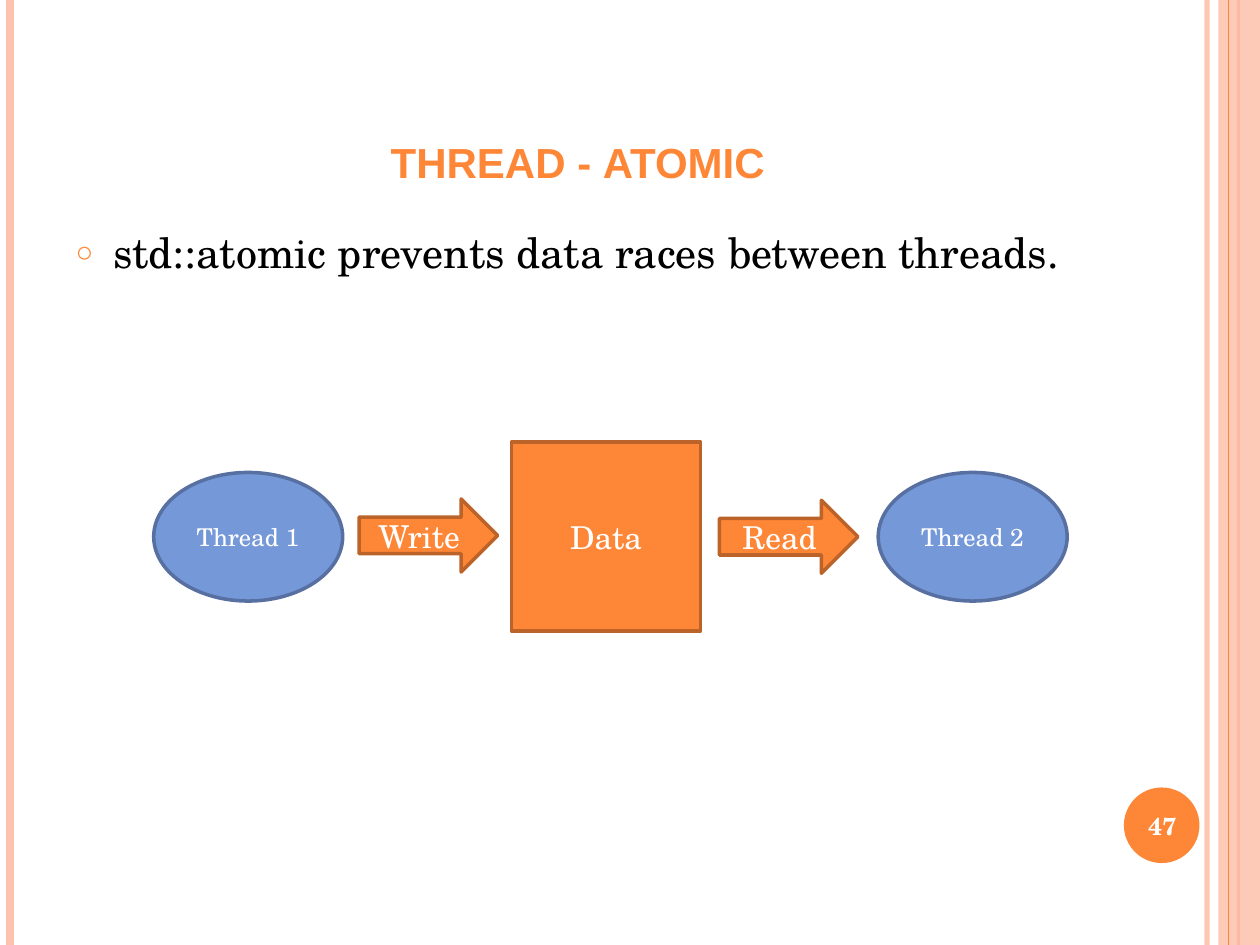
import pptx
import pptx.util
import pptx.dml.color
import pptx.enum.shapes
import pptx.enum.text
import pptx.oxml.ns
import lxml.etree

Inches = pptx.util.Inches
Pt = pptx.util.Pt
RGB = pptx.dml.color.RGBColor
KIND = pptx.enum.shapes.MSO_SHAPE
ALIGN = pptx.enum.text.PP_ALIGN
ANCHOR = pptx.enum.text.MSO_ANCHOR
qn = pptx.oxml.ns.qn

ORANGE = RGB(0xFE, 0x86, 0x37)
RUST = RGB(0xBC, 0x63, 0x29)
PEACH = RGB(0xFE, 0xC3, 0xAE)
BLUSH = RGB(0xFC, 0xB8, 0xA0)
BLUE = RGB(0x75, 0x98, 0xD9)
NAVY = RGB(0x57, 0x70, 0xA1)
WHITE = RGB(0xFF, 0xFF, 0xFF)
BLACK = RGB(0, 0, 0)
SERIF = "TeX Gyre Schola"
SANS = "Arial"


def put(frame, text, size, color, font=SERIF, bold=False):
    """Add one run to the first paragraph of a text frame."""
    run = frame.paragraphs[0].add_run()
    run.text = text
    run.font.size = Pt(size)
    run.font.name = font
    run.font.bold = bold
    run.font.color.rgb = color
    return run


def fade(fill, share):
    """Set the opacity of a solid fill, in percent."""
    tone = fill._xPr.find(qn("a:solidFill"))[0]
    lxml.etree.SubElement(tone, qn("a:alpha")).set("val", str(share * 1000))


def place(item, left, top, width, height):
    item.left, item.top = Inches(left), Inches(top)
    item.width, item.height = Inches(width), Inches(height)


def stripe(slide, x, color, weight):
    """Draw a line down the full height of the slide."""
    line = slide.shapes.add_connector(
        pptx.enum.shapes.MSO_CONNECTOR.STRAIGHT,
        Inches(x), 0, Inches(x), Inches(7.5))
    line.line.color.rgb = color
    line.line.width = Pt(weight)
    lxml.etree.SubElement(line._element.spPr, qn("a:effectLst"))
    return line


def block(slide, kind, box, fill, edge=None):
    shape = slide.shapes.add_shape(kind, *map(Inches, box))
    shape.shadow.inherit = False
    shape.fill.solid()
    shape.fill.fore_color.rgb = fill
    if edge is None:
        shape.line.fill.background()
    else:
        shape.line.color.rgb = edge
        shape.line.width = Pt(2)
    return shape


def label(shape, text, size, bold=False):
    """Centre white text in a shape or text box."""
    frame = shape.text_frame
    frame.word_wrap = True
    frame.vertical_anchor = ANCHOR.MIDDLE
    frame.paragraphs[0].alignment = ALIGN.CENTER
    put(frame, text, size, WHITE, bold=bold)


def frame_page(slide):
    # Side stripes and band
    edge = stripe(slide, 9.58, PEACH, 3)
    fade(edge.line.fill, 93)
    stripe(slide, 0.08, PEACH, 4.5)
    band = block(slide, KIND.RECTANGLE, (9.67, 0, 0.33, 7.5), PEACH)
    fade(band.fill, 87)
    stripe(slide, 9.83, BLUSH, 1.5)
    stripe(slide, 9.75, ORANGE, 0.75)

    # Page number
    block(slide, KIND.OVAL, (8.92, 6.25, 0.6, 0.6), ORANGE)
    number = slide.shapes.add_textbox(*map(Inches, (8.89, 6.27, 0.67, 0.57)))
    label(number, "47", 14, bold=True)


def head(title):
    place(title, 0.5, 0.3, 8.17, 1.25)
    frame = title.text_frame
    frame.auto_size = pptx.enum.text.MSO_AUTO_SIZE.NONE
    frame.vertical_anchor = ANCHOR.BOTTOM
    frame.paragraphs[0].alignment = ALIGN.CENTER
    run = put(frame, "thread - atomic", 30, ORANGE, SANS, True)
    run.font._element.set("cap", "small")


def point(body):
    place(body, 0.5, 1.75, 8.17, 5.33)
    frame = body.text_frame
    frame.auto_size = pptx.enum.text.MSO_AUTO_SIZE.NONE
    para = frame.paragraphs[0]
    para.space_before = Pt(6)
    props = para._p.get_or_add_pPr()
    props.set("marL", str(Inches(0.3)))
    props.set("indent", str(-Inches(0.3)))
    tint = lxml.etree.SubElement(props, qn("a:buClr"))
    lxml.etree.SubElement(tint, qn("a:srgbClr")).set("val", str(ORANGE))
    lxml.etree.SubElement(props, qn("a:buSzPct")).set("val", "70000")
    lxml.etree.SubElement(props, qn("a:buChar")).set("char", "○")
    put(frame, "std::atomic prevents data races between threads.", 24, BLACK)


def flow(slide):
    # Shared data
    data = block(slide, KIND.RECTANGLE, (4.06, 3.51, 1.5, 1.5), ORANGE, RUST)
    label(data, "Data", 18)
    # Threads
    for text, x in (("Thread 1", 1.22), ("Thread 2", 6.97)):
        oval = block(slide, KIND.OVAL, (x, 3.75, 1.5, 1.02), BLUE, NAVY)
        label(oval, text, 14)
    # Access arrows
    for text, x, y in (("Write", 2.85, 3.96), ("Read", 5.71, 3.97)):
        arrow = block(slide, KIND.RIGHT_ARROW, (x, y, 1.1, 0.58), ORANGE, RUST)
        label(arrow, text, 18)


def main():
    deck = pptx.Presentation()
    deck.slide_width, deck.slide_height = Inches(10), Inches(7.5)
    slide = deck.slides.add_slide(deck.slide_layouts[1])
    frame_page(slide)
    head(slide.shapes.title)
    point(slide.placeholders[1])
    flow(slide)
    deck.save("out.pptx")


if __name__ == "__main__":
    main()
